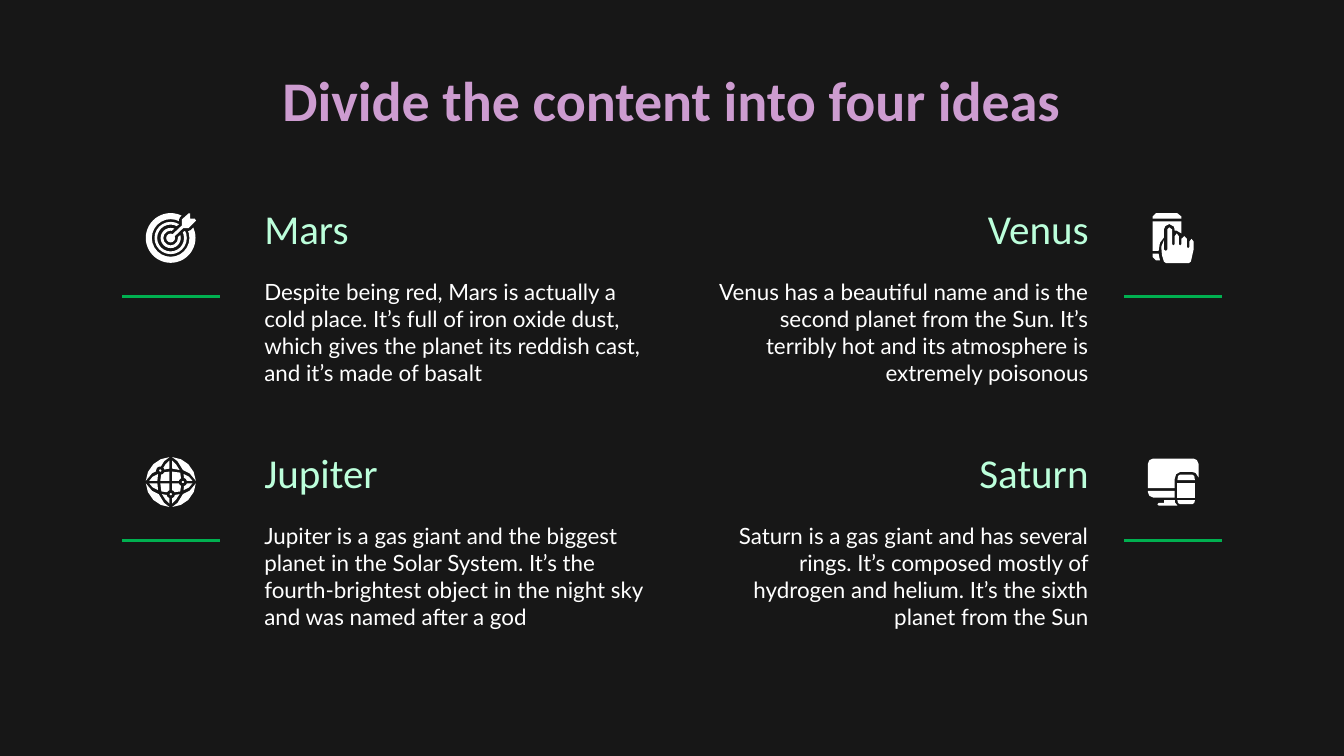
from dataclasses import dataclass
from itertools import product
from pptx import Presentation
from pptx.dml.color import RGBColor
from pptx.enum.shapes import MSO_CONNECTOR as Connector, MSO_SHAPE as Shape
from pptx.enum.text import MSO_ANCHOR as Anchor, PP_ALIGN as Align
from pptx.oxml.ns import qn
from pptx.util import Inches, Pt
from lxml.etree import SubElement


@dataclass(frozen=True)
class Theme:
    background: str = "171717"
    white: str = "FFFFFF"
    accent: str = "00B050"
    title_gradient: tuple = ("CD9CD0", "9CCAED")
    heading_gradient: tuple = ("BCFFDB", "9CCAED")
    heading_font: str = "Calibri"
    body_font: str = "Lato"
    title_size: int = 30
    heading_size: int = 22
    body_size: int = 12
    rule_width: float = 1.5
    halo_width: float = 3


GLOBE_QUARTER = (
    [(0.1, 1.86), (0.5, 1.55), (0.9, 0.9), (1.4, 0.65), (1.86, 0.1), (1.7, 0.75), (1.3, 1.33), (0.75, 1.7)],
    [(0.95, 0.6), (1.35, 0.4), (1.6, 0.1), (1, 0.1)],
    [(0.1, 1.6), (0.4, 1.3), (0.65, 0.9), (0.1, 1)],
    [(0.1, 0.1), (0.1, 0.78), (0.7, 0.7), (0.78, 0.1)],
)
TARGET_ARROW = [(3.2, 0), (2.7, 0.45), (2.7, 0.9), (1.8, 1.75), (1.95, 1.9), (2.8, 1.1),
                (3.2, 1.1), (3.75, 0.55), (3.65, 0.4), (3.3, 0.4), (3.3, 0)]
PHONE_PARTS = (
    [(0.35, 0.4), (0.35, 0.25), (0.6, 0), (2.2, 0), (2.5, 0.25), (2.5, 0.4)],
    [(0.35, 0.6), (2.5, 0.6), (2.5, 1.5), (2.15, 1.3), (2, 1.3), (1.95, 1), (1.6, 0.8),
     (1.3, 0.95), (1.2, 1.2), (1.2, 1.8), (0.9, 2.2), (0.8, 2.8), (0.35, 2.8)],
    [(0.35, 3), (0.8, 3), (0.9, 3.5), (0.6, 3.5), (0.35, 3.25)],
    [(1.6, 1.05), (1.45, 1.2), (1.45, 2.7), (1.35, 2.8), (1.2, 2.7), (1.2, 2), (1, 2.5), (1.05, 3.1),
     (1.2, 3.6), (1.35, 3.7), (3.05, 3.7), (3.2, 3.6), (3.4, 2.7), (3.4, 2.1), (3.25, 1.9), (3.1, 2.1),
     (3.1, 2.5), (3, 2.6), (2.9, 2.5), (2.9, 1.9), (2.7, 1.7), (2.5, 1.9), (2.5, 2.3), (2.4, 2.4),
     (2.3, 2.3), (2.3, 1.7), (2.15, 1.5), (2, 1.7), (2, 2.3), (1.9, 2.4), (1.8, 2.3), (1.8, 1.2)],
)
DEVICE_PARTS = (
    [(0.4, 0.1), (3.4, 0.1), (3.65, 0.22), (3.77, 0.5), (3.77, 1.5), (3.55, 1.17), (3.3, 1.1), (2.4, 1.1),
     (2.1, 1.27), (2, 1.6), (2, 2.3), (0, 2.3), (0, 0.5), (0.12, 0.22)],
    [(0, 2.5), (2, 2.5), (2, 3), (0.4, 3), (0.12, 2.88), (0, 2.6)],
    [(1.2, 3.2), (2, 3.2), (2, 3.35), (2.2, 3.6), (0.8, 3.6), (0.7, 3.5), (0.8, 3.4), (1.2, 3.4)],
    [(2.2, 1.7), (2.25, 1.4), (2.4, 1.3), (3.3, 1.3), (3.45, 1.4), (3.5, 1.7)],
    [(2.2, 1.9), (3.5, 1.9), (3.5, 3), (2.2, 3)],
    [(2.2, 3.2), (3.5, 3.2), (3.45, 3.42), (3.3, 3.5), (2.4, 3.5), (2.25, 3.42)],
)


class SlideBuilder:
    """Draws elements on a slide measured in square cells, 100 to its width."""

    def __init__(self, presentation, theme):
        self.theme = theme
        self.cell = presentation.slide_width / 100
        self.slide = presentation.slides.add_slide(presentation.slide_layouts[6])
        self.shapes = self.slide.shapes
        self.slide.background.fill.solid()
        self.slide.background.fill.fore_color.rgb = RGBColor.from_string(theme.background)

    def cells(self, *values):
        return [round(value * self.cell) for value in values]

    def text(self, box, words, font, size, colors, align=Align.LEFT, anchor=Anchor.TOP, bold=False):
        frame = self.shapes.add_textbox(*self.cells(*box)).text_frame
        frame.word_wrap = True
        frame.vertical_anchor = anchor
        frame.margin_left = frame.margin_right = frame.margin_top = frame.margin_bottom = Inches(0.1)
        frame.text = words
        paragraph = frame.paragraphs[0]
        paragraph.alignment = align
        style = paragraph.runs[0].font
        style.name, style.size, style.bold = font, Pt(size), bold
        if len(colors) == 1:
            style.fill.solid()
            style.fill.fore_color.rgb = RGBColor.from_string(colors[0])
        else:
            style.fill.gradient()
            style.fill.gradient_angle = 0
            for stop, color in zip(style.fill.gradient_stops, colors):
                stop.color.rgb = RGBColor.from_string(color)

    def line(self, start, end):
        connector = self.shapes.add_connector(Connector.STRAIGHT, *self.cells(*start, *end))
        connector.line.color.rgb = RGBColor.from_string(self.theme.accent)
        connector.line.width = Pt(self.theme.rule_width)
        SubElement(connector._element.spPr, qn("a:effectLst"))

    def paint(self, shape, halo):
        shape.shadow.inherit = False
        shape.fill.solid()
        shape.fill.fore_color.rgb = RGBColor.from_string(self.theme.white)
        if halo:
            shape.line.color.rgb = RGBColor.from_string(self.theme.background)
            shape.line.width = Pt(halo)
        else:
            shape.line.fill.background()

    def round(self, kind, x, y, radius, halo=None, hole=0):
        shape = self.shapes.add_shape(kind, *self.cells(x - radius, y - radius, 2 * radius, 2 * radius))
        if hole:
            shape.adjustments[0] = (radius - hole) / (2 * radius)
        self.paint(shape, halo)

    def outline(self, left, top, points, halo=None):
        corners = [self.cells(left + x, top + y) for x, y in points]
        builder = self.shapes.build_freeform(*corners[0], scale=1.0)
        builder.add_line_segments(corners[1:], close=True)
        self.paint(builder.convert_to_shape(), halo)

    def target_icon(self, left, top):
        x, y = left + 1.86, top + 1.84
        for outer, inner in ((1.85, 1.4), (1.2, 1), (0.75, 0.55)):
            self.round(Shape.DONUT, x, y, outer, hole=inner)
        for halo in (self.theme.halo_width, None):
            self.outline(left, top, TARGET_ARROW, halo)
        self.round(Shape.OVAL, x, y, 0.33)

    def globe_icon(self, left, top):
        x, y = left + 1.87, top + 1.85
        for across, down in product((1, -1), repeat=2):
            for part in GLOBE_QUARTER:
                self.outline(x, y, [(across * px, down * py) for px, py in part])
        for across, down in ((-0.78, -0.85), (0.9, 0), (0, 0.9)):
            self.round(Shape.OVAL, x + across, y + down, 0.2, self.theme.rule_width)

    def phone_icon(self, left, top):
        for part in PHONE_PARTS:
            self.outline(left, top, part)

    def devices_icon(self, left, top):
        for part in DEVICE_PARTS:
            self.outline(left, top, part)

    def topic(self, column, row, heading, body, icon):
        theme, drop = self.theme, row * 18.15
        left = (18.68, 51.48)[column]
        align = (Align.LEFT, Align.RIGHT)[column]
        rule = (9.08, 83.65)[column]
        self.text((left, 14.58 + drop, 30.5, 5.2), heading, theme.heading_font,
                  theme.heading_size, theme.heading_gradient, align, Anchor.BOTTOM)
        self.text((left, 19.7 + drop, 30.5, 9.7), body, theme.body_font,
                  theme.body_size, (theme.white,), align)
        self.line((rule, 22.05 + drop), (rule + 7.27, 22.05 + drop))
        icon(rule + 1.76, 15.87 + drop)


def main():
    presentation = Presentation()
    presentation.slide_width = Inches(10)
    presentation.slide_height = Inches(10) * 9 // 16
    theme = Theme()
    builder = SlideBuilder(presentation, theme)
    builder.text((7.85, 3.9, 84.25, 6.3), "Divide the content into four ideas", theme.heading_font,
                 theme.title_size, theme.title_gradient, Align.CENTER, bold=True)
    topics = [
        ("Mars", "Despite being red, Mars is actually a cold place. It’s full of iron oxide dust, "
         "which gives the planet its reddish cast, and it’s made of basalt", builder.target_icon),
        ("Venus", "Venus has a beautiful name and is the second planet from the Sun. It’s terribly hot "
         "and its atmosphere is extremely poisonous", builder.phone_icon),
        ("Jupiter", "Jupiter is a gas giant and the biggest planet in the Solar System. It’s the "
         "fourth-brightest object in the night sky and was named after a god", builder.globe_icon),
        ("Saturn", "Saturn is a gas giant and has several rings. It’s composed mostly of hydrogen "
         "and helium. It’s the sixth planet from the Sun", builder.devices_icon),
    ]
    for index, (heading, body, icon) in enumerate(topics):
        row, column = divmod(index, 2)
        builder.topic(column, row, heading, body, icon)
    presentation.save("out.pptx")


if __name__ == "__main__":
    main()
